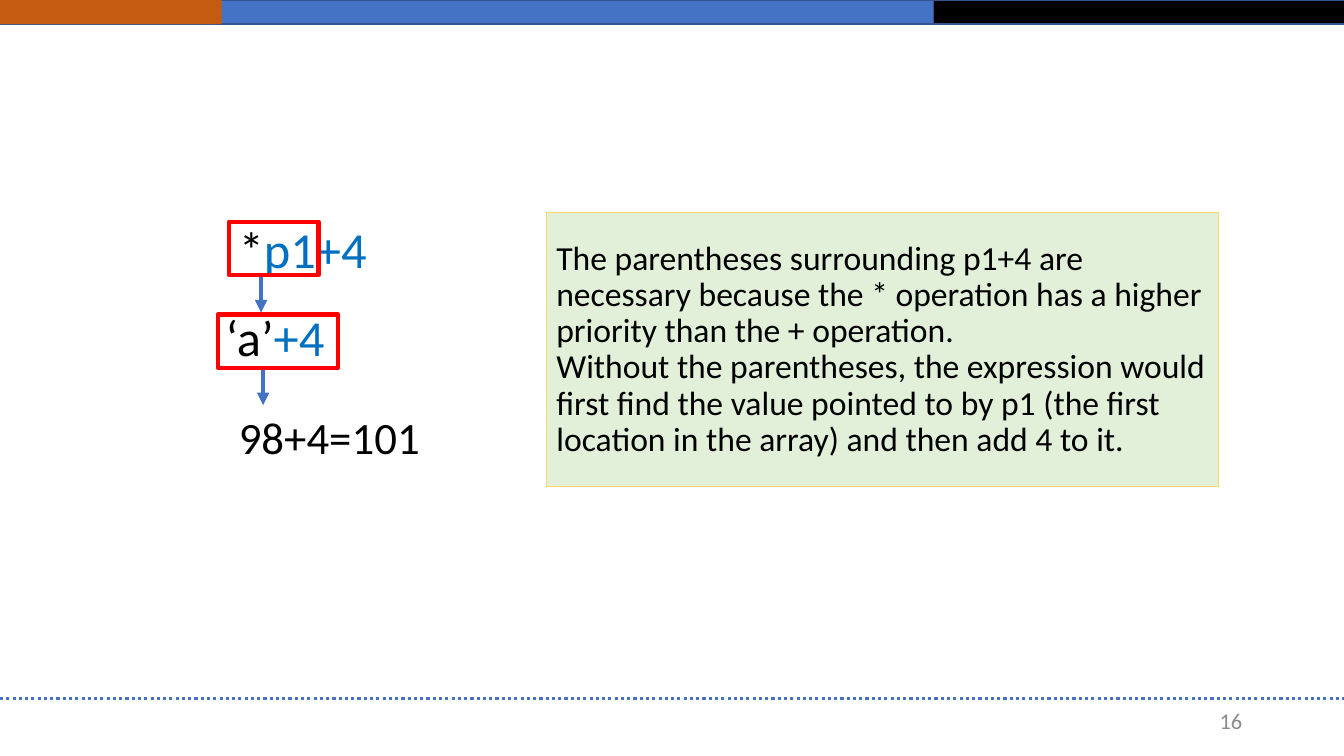
import dataclasses
import typing

import lxml.etree
import pptx
import pptx.dml.color
import pptx.enum.dml
import pptx.enum.shapes
import pptx.enum.text
import pptx.oxml.ns
import pptx.util

EMU_PER_PX = 9144  # 100 px to the inch
FONT = "Calibri"

RGBColor = pptx.dml.color.RGBColor
BLACK = RGBColor(0x00, 0x00, 0x00)
BLUE = RGBColor(0x44, 0x72, 0xC4)
DARK_BLUE = RGBColor(0x32, 0x54, 0x91)
TEXT_BLUE = RGBColor(0x00, 0x70, 0xC0)
ORANGE = RGBColor(0xC5, 0x5A, 0x11)
RED = RGBColor(0xFF, 0x00, 0x00)
PALE_GREEN = RGBColor(0xE2, 0xF0, 0xD9)
YELLOW = RGBColor(0xFF, 0xD9, 0x66)
GRAY = RGBColor(0x8C, 0x8C, 0x8C)

Align = pptx.enum.text.PP_ALIGN
Anchor = pptx.enum.text.MSO_ANCHOR


@dataclasses.dataclass(frozen=True)
class Box:
    left: int
    top: int
    width: int
    height: int
    fill: RGBColor | None = None
    line: RGBColor | None = None
    line_points: float = 1


@dataclasses.dataclass(frozen=True)
class Run:
    text: str
    color: RGBColor = BLACK


@dataclasses.dataclass(frozen=True)
class Expression:
    box: Box
    runs: tuple[Run, ...]
    size: int


SLIDE_WIDTH, SLIDE_HEIGHT = 1333, 750
BAR_HEIGHT = 24
FOOTER_LINE_Y = 693
ARROW_LENGTH = 39

HEADER_BARS = (
    Box(0, 0, 926, BAR_HEIGHT, BLUE, DARK_BLUE),
    Box(926, 0, 408, BAR_HEIGHT, BLACK, DARK_BLUE),
    Box(0, 0, 220, BAR_HEIGHT, ORANGE),
)
EXPLANATION_BOX = Box(542, 211, 667, 272, PALE_GREEN, YELLOW, 0.75)
EXPLANATION = (
    "The parentheses surrounding p1+4 are necessary because the * operation "
    "has a higher priority than the + operation.",
    "Without the parentheses, the expression would first find the value pointed "
    "to by p1 (the first location in the array) and then add 4 to it.",
)
EXPRESSIONS = (
    Expression(Box(227, 211, 159, 71), (Run("*"), Run("p1+4", TEXT_BLUE)), 36),
    Expression(Box(214, 299, 130, 71), (Run("‘a’"), Run("+4", TEXT_BLUE)), 36),
    Expression(Box(227, 402, 202, 64), (Run("98+4=101"),), 32),
)
HIGHLIGHTS = (
    Box(227, 220, 89, 53, line=RED, line_points=3),
    Box(216, 312, 119, 53, line=RED, line_points=3),
)
ARROW_STARTS = ((259, 271), (261, 363))
PAGE_NUMBER_BOX = Box(942, 695, 300, 40)


def px(length: int) -> pptx.util.Emu:
    return pptx.util.Emu(length * EMU_PER_PX)


def add_box(slide: typing.Any, box: Box) -> typing.Any:
    shape = slide.shapes.add_shape(
        pptx.enum.shapes.MSO_SHAPE.RECTANGLE,
        px(box.left), px(box.top), px(box.width), px(box.height),
    )
    shape.shadow.inherit = False
    if box.fill is None:
        shape.fill.background()
    else:
        shape.fill.solid()
        shape.fill.fore_color.rgb = box.fill
    if box.line is None:
        shape.line.fill.background()
    else:
        shape.line.color.rgb = box.line
        shape.line.width = pptx.util.Pt(box.line_points)
    return shape


def add_text_box(slide: typing.Any, box: Box) -> typing.Any:
    return slide.shapes.add_textbox(
        px(box.left), px(box.top), px(box.width), px(box.height)
    )


def add_runs(paragraph: typing.Any, runs: tuple[Run, ...], size: int) -> None:
    for item in runs:
        run = paragraph.add_run()
        run.text = item.text
        run.font.name = FONT
        run.font.size = pptx.util.Pt(size)
        run.font.color.rgb = item.color


def add_line(
    slide: typing.Any, start: tuple[int, int], end: tuple[int, int], points: float
) -> typing.Any:
    connector = slide.shapes.add_connector(
        pptx.enum.shapes.MSO_CONNECTOR.STRAIGHT,
        px(start[0]), px(start[1]), px(end[0]), px(end[1]),
    )
    connector.line.color.rgb = BLUE
    connector.line.width = pptx.util.Pt(points)
    lxml.etree.SubElement(connector._element.spPr, pptx.oxml.ns.qn("a:effectLst"))
    return connector


def add_down_arrow(slide: typing.Any, start: tuple[int, int]) -> None:
    left, top = start
    connector = add_line(slide, start, (left, top + ARROW_LENGTH), 3)
    outline = connector._element.spPr.find(pptx.oxml.ns.qn("a:ln"))
    lxml.etree.SubElement(outline, pptx.oxml.ns.qn("a:tailEnd"), type="triangle")


def add_explanation(slide: typing.Any) -> None:
    frame = add_box(slide, EXPLANATION_BOX).text_frame
    frame.word_wrap = True
    frame.vertical_anchor = Anchor.MIDDLE
    for index, text in enumerate(EXPLANATION):
        paragraph = frame.add_paragraph() if index else frame.paragraphs[0]
        paragraph.alignment = Align.LEFT
        paragraph.line_spacing = 0.9
        add_runs(paragraph, (Run(text),), 24)


def add_expression(slide: typing.Any, expression: Expression) -> None:
    frame = add_text_box(slide, expression.box).text_frame
    frame.word_wrap = False
    frame.auto_size = pptx.enum.text.MSO_AUTO_SIZE.SHAPE_TO_FIT_TEXT
    add_runs(frame.paragraphs[0], expression.runs, expression.size)


def add_page_number(slide: typing.Any) -> None:
    frame = add_text_box(slide, PAGE_NUMBER_BOX).text_frame
    frame.word_wrap = True
    frame.vertical_anchor = Anchor.MIDDLE
    frame.paragraphs[0].alignment = Align.RIGHT
    add_runs(frame.paragraphs[0], (Run("16", GRAY),), 16)


def main() -> None:
    presentation = pptx.Presentation()
    presentation.slide_width = px(SLIDE_WIDTH)
    presentation.slide_height = px(SLIDE_HEIGHT)
    slide = presentation.slides.add_slide(presentation.slide_layouts[6])

    for bar in HEADER_BARS:
        add_box(slide, bar)
    footer_line = add_line(
        slide, (0, FOOTER_LINE_Y), (SLIDE_WIDTH, FOOTER_LINE_Y), 2.25
    )
    footer_line.line.dash_style = pptx.enum.dml.MSO_LINE.ROUND_DOT
    add_page_number(slide)
    add_explanation(slide)
    for expression in EXPRESSIONS:
        add_expression(slide, expression)
    for start in ARROW_STARTS:
        add_down_arrow(slide, start)
    for highlight in HIGHLIGHTS:
        add_box(slide, highlight)

    presentation.save("out.pptx")


if __name__ == "__main__":
    main()
